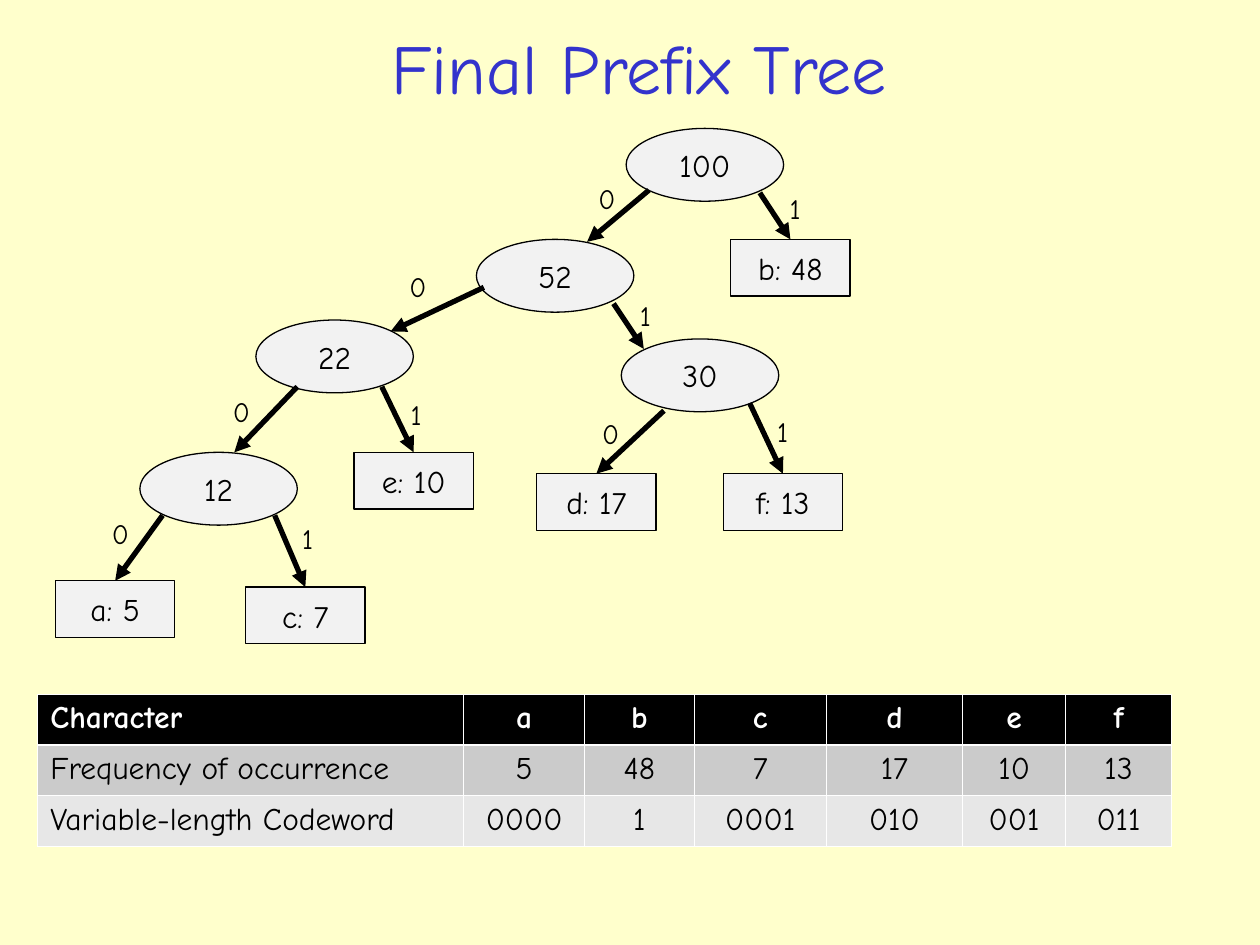
from lxml.etree import SubElement
from pptx import Presentation
from pptx.dml.color import RGBColor
from pptx.enum.shapes import MSO_CONNECTOR as CONNECTOR, MSO_SHAPE as SHAPE
from pptx.enum.text import MSO_ANCHOR as ANCHOR, MSO_AUTO_SIZE as AUTO_SIZE, PP_ALIGN as ALIGN
from pptx.oxml.ns import qn
from pptx.util import Pt


def color(hex_string):
    return RGBColor.from_string(hex_string)


def write(frame, text, size, hex_string="000000", align=ALIGN.CENTER, bold=False):
    frame.text = text
    paragraph = frame.paragraphs[0]
    paragraph.alignment = align
    font = paragraph.runs[0].font
    font.name, font.size, font.bold = "Comic Neue", Pt(size), bold
    font.color.rgb = color(hex_string)


prs = Presentation()
prs.slide_width, prs.slide_height = Pt(720), Pt(540)
slide = prs.slides.add_slide(prs.slide_layouts[5])
slide.background.fill.solid()
slide.background.fill.fore_color.rgb = color("FFFFCC")

# Title
title = slide.shapes.title
title.left, title.top, title.width, title.height = Pt(21.6), Pt(10.8), Pt(687), Pt(54.7)
title.text_frame.vertical_anchor = ANCHOR.MIDDLE
write(title.text_frame, "Final Prefix Tree", 40, "3333CC")

# Tree nodes: ellipses hold sums, rectangles are the leaves
sums = [("100", 357.8, 73.4), ("52", 272.2, 136.8), ("22", 146.2, 182.9),
        ("30", 355, 193.7), ("12", 79.9, 258.5)]
leaves = [("b: 48", 417.6, 136.8), ("d: 17", 306.7, 270.7), ("f: 13", 413.3, 270.7),
          ("e: 10", 202.3, 258.5), ("a: 5", 31.7, 331.9), ("c: 7", 140.4, 335.5)]
nodes = {}
for outline, width, height, group in [(SHAPE.OVAL, 90, 41.6, sums),
                                      (SHAPE.RECTANGLE, 68.2, 32.4, leaves)]:
    for text, left, top in group:
        node = slide.shapes.add_shape(outline, Pt(left), Pt(top), Pt(width), Pt(height))
        node.shadow.inherit = False
        node.fill.solid()
        node.fill.fore_color.rgb = color("F2F2F2")
        node.line.color.rgb = color("000000")
        node.line.width = Pt(0.75)
        node.text_frame.vertical_anchor = ANCHOR.MIDDLE
        write(node.text_frame, text, 18)
        nodes[text] = node

# Branches: bit, start, end (a point, or the leaf it reaches), place of the bit
branches = [
    ("0", (370.8, 108.7), (335.5, 138.2), (334.8, 100.1)),
    ("1", (434.2, 110.2), "b: 48", (444.2, 105.8)),
    ("0", (276.5, 164.2), (223.2, 189.4), (226.8, 150.5)),
    ("1", (350.6, 173.5), (367.9, 199.4), (358.6, 167)),
    ("0", (169.9, 221), (133.9, 258.5), (126, 221.8)),
    ("1", (218.2, 221), "e: 10", (227.5, 223.9)),
    ("0", (379.4, 234.7), "d: 17", (337, 234.7)),
    ("1", (428.4, 230.4), "f: 13", (437, 233.3)),
    ("0", (92.9, 294.5), "a: 5", (56.9, 291.6)),
    ("1", (157, 294.5), "c: 7", (165.6, 294.5)),
]
for bit, start, end, place in branches:
    to_leaf = end in nodes
    x, y = start if to_leaf else end
    branch = slide.shapes.add_connector(CONNECTOR.STRAIGHT, Pt(start[0]), Pt(start[1]), Pt(x), Pt(y))
    if to_leaf:
        branch.end_connect(nodes[end], 0)
    branch.line.color.rgb = color("000000")
    branch.line.width = Pt(3)
    SubElement(branch.line._get_or_add_ln(), qn("a:tailEnd"), type="triangle")
    SubElement(branch._element.spPr, qn("a:effectLst"))

    label = slide.shapes.add_textbox(Pt(place[0]), Pt(place[1]),
                                     Pt(24.5 if bit == "0" else 20.9), Pt(26.6))
    label.text_frame.word_wrap = bit == "0"
    label.text_frame.auto_size = AUTO_SIZE.SHAPE_TO_FIT_TEXT
    write(label.text_frame, bit, 16, align=ALIGN.LEFT)

# Code table
rows = [
    ["Character", "a", "b", "c", "d", "e", "f"],
    ["Frequency of occurrence", "5", "48", "7", "17", "10", "13"],
    ["Variable-length Codeword", "0000", "1", "0001", "010", "001", "011"],
]
column_widths = [243.4, 69.1, 62.6, 75.6, 77.8, 59, 60.5]
row_fills = ["000000", "CBCBCB", "E7E7E7"]
codes = slide.shapes.add_table(len(rows), len(column_widths), Pt(21.6), Pt(396.7),
                               Pt(648), Pt(87)).table
for column, width in zip(codes.columns, column_widths):
    column.width = Pt(width)
for r, values in enumerate(rows):
    codes.rows[r].height = Pt(29)
    header = r == 0
    for c, value in enumerate(values):
        cell = codes.cell(r, c)
        for side in ("lnL", "lnR", "lnT", "lnB"):
            thick = (r, side) in [(0, "lnB"), (1, "lnT")]
            border = SubElement(cell._tc.get_or_add_tcPr(), qn("a:" + side),
                                w=str(Pt(1.47 if thick else 0.45)))
            SubElement(SubElement(border, qn("a:solidFill")), qn("a:srgbClr"), val="FFFFFF")
        cell.fill.solid()
        cell.fill.fore_color.rgb = color(row_fills[r])
        write(cell.text_frame, value, 18, "FFFFFF" if header else "000000",
              ALIGN.CENTER if c else ALIGN.LEFT, header)

prs.save("out.pptx")
